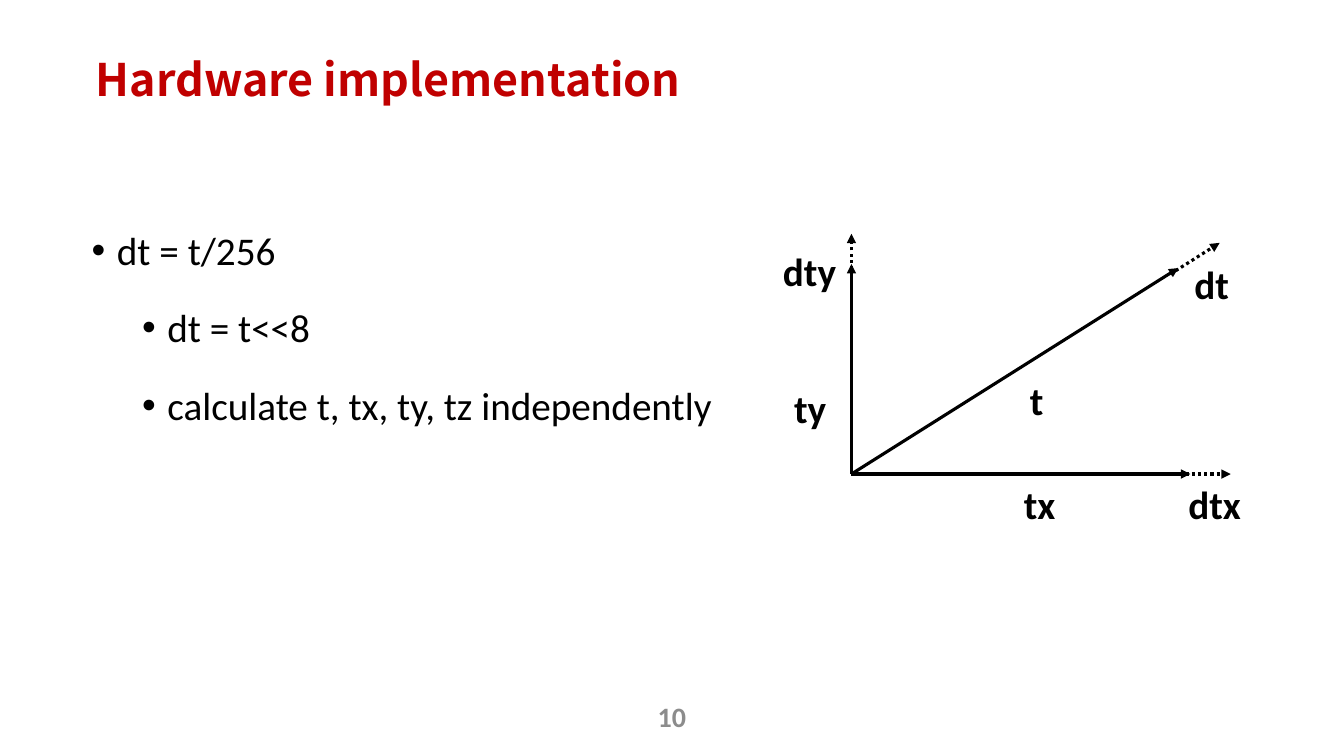
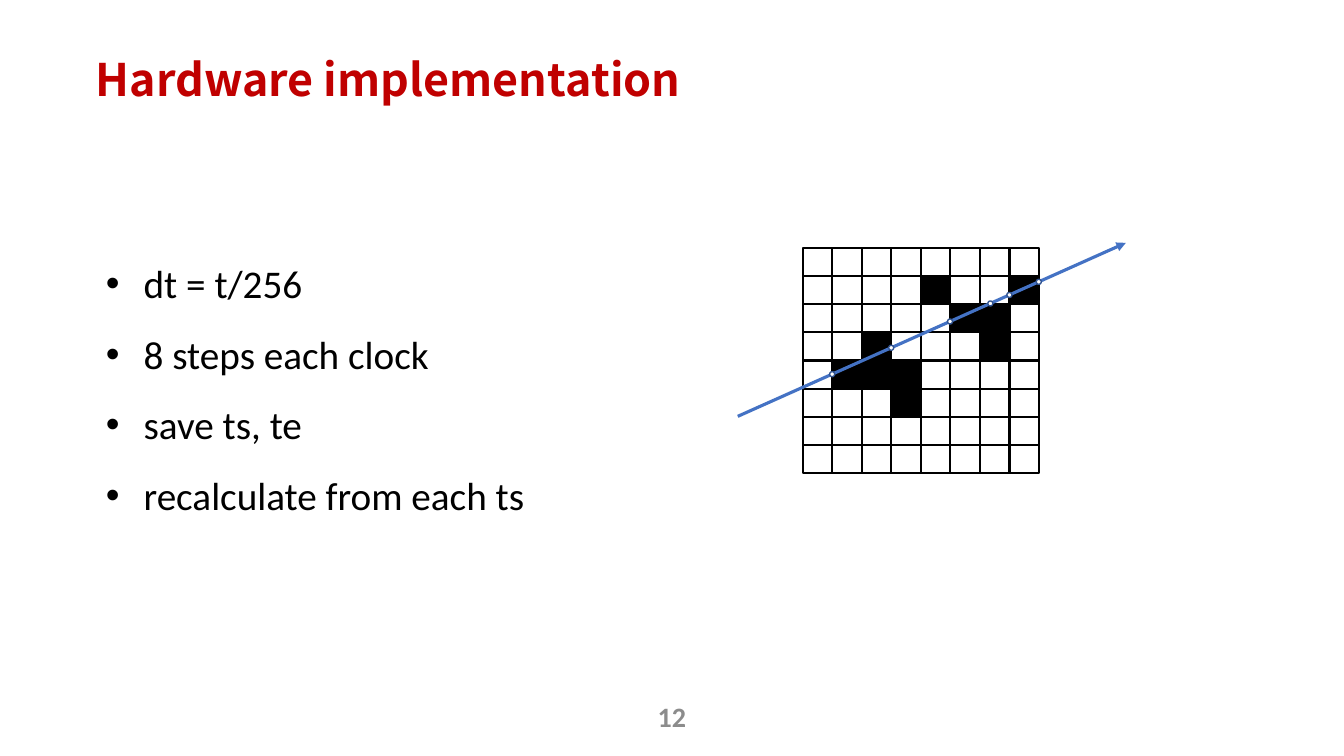
from dataclasses import dataclass

from lxml.etree import SubElement
from pptx import Presentation
from pptx.dml.color import RGBColor
from pptx.enum.dml import MSO_LINE
from pptx.enum.shapes import MSO_CONNECTOR, MSO_SHAPE
from pptx.enum.text import MSO_ANCHOR, MSO_AUTO_SIZE, PP_ALIGN
from pptx.oxml.ns import qn
from pptx.util import Pt


@dataclass(frozen=True)
class Theme:
    title_color: RGBColor = RGBColor(0xC0, 0x00, 0x00)
    ink: RGBColor = RGBColor(0x00, 0x00, 0x00)
    paper: RGBColor = RGBColor(0xFF, 0xFF, 0xFF)
    number_color: RGBColor = RGBColor(0x8C, 0x8C, 0x8C)
    ray: RGBColor = RGBColor(0x44, 0x72, 0xC4)
    hit_outline: RGBColor = RGBColor(0x32, 0x54, 0x91)
    title_font: str = "Noto Sans CJK SC"
    text_font: str = "Calibri"
    title_size: int = 32
    text_size: int = 28
    number_size: int = 20
    arrow_width: float = 2.25


theme = Theme()


def add_run(paragraph, text, size, color, bold=False, font=theme.text_font):
    run = paragraph.add_run()
    run.text = text
    run.font.name = font
    run.font.size = Pt(size)
    run.font.bold = bold
    run.font.color.rgb = color


def add_arrow(slide, start, end, color, dotted=False):
    points = [Pt(value) for value in (*start, *end)]
    connector = slide.shapes.add_connector(MSO_CONNECTOR.STRAIGHT, *points)
    connector.line.color.rgb = color
    connector.line.width = Pt(theme.arrow_width)
    if dotted:
        connector.line.dash_style = MSO_LINE.ROUND_DOT
    properties = connector._element.spPr
    SubElement(properties.find(qn("a:ln")), qn("a:tailEnd"), type="triangle")
    SubElement(properties, qn("a:effectLst"))


presentation = Presentation()
presentation.slide_width = Pt(960)
presentation.slide_height = Pt(540)
layout = presentation.slide_layouts[1]

pages = [
    {
        "number": "10",
        "body": (58.3, 141, 470, 343),
        "inset": (7.2, 3.6),
        "bullets": [
            ("dt = t/256", 0, 18, 18, 10),
            ("dt = t<<8", 1, 54, 18, 5),
            ("calculate t, tx, ty, tz independently", 1, 54, 18, 5),
        ],
    },
    {
        "number": "12",
        "body": (75.6, 168.5, 359.3, 300),
        "inset": (0, 0),
        "bullets": [
            (text, 0, 27, 27, 0)
            for text in ("dt = t/256", "8 steps each clock", "save ts, te", "recalculate from each ts")
        ],
    },
]

slides = []
for page in pages:
    slide = presentation.slides.add_slide(layout)
    slides.append(slide)

    title = slide.shapes.title
    title.left, title.top, title.width, title.height = Pt(61.2), Pt(37.4), Pt(730), Pt(58.3)
    title.text_frame.auto_size = MSO_AUTO_SIZE.NONE
    title.text_frame.vertical_anchor = MSO_ANCHOR.TOP
    paragraph = title.text_frame.paragraphs[0]
    paragraph.alignment = PP_ALIGN.LEFT
    paragraph.line_spacing = 0.9
    paragraph.space_before = Pt(10)
    add_run(paragraph, "Hardware implementation", theme.title_size, theme.title_color, True, theme.title_font)

    body = slide.placeholders[1]
    body.left, body.top, body.width, body.height = [Pt(value) for value in page["body"]]
    frame = body.text_frame
    frame.auto_size = MSO_AUTO_SIZE.NONE
    frame.margin_left = frame.margin_right = Pt(page["inset"][0])
    frame.margin_top = frame.margin_bottom = Pt(page["inset"][1])
    for index, (text, level, margin, hanging, before) in enumerate(page["bullets"]):
        paragraph = frame.add_paragraph() if index else frame.paragraphs[0]
        paragraph.level = level
        paragraph.line_spacing = 1.5
        paragraph.space_before = Pt(before)
        properties = paragraph._p.get_or_add_pPr()
        properties.set("marL", str(Pt(margin)))
        properties.set("indent", str(-Pt(hanging)))
        SubElement(properties, qn("a:buFont"), typeface="Arial")
        SubElement(properties, qn("a:buChar"), char="•")
        add_run(paragraph, text, theme.text_size, theme.ink)

    number = slide.shapes.add_textbox(Pt(372), Pt(497), Pt(216), Pt(28.8))
    number.text_frame.word_wrap = True
    number.text_frame.vertical_anchor = MSO_ANCHOR.MIDDLE
    paragraph = number.text_frame.paragraphs[0]
    paragraph.alignment = PP_ALIGN.CENTER
    add_run(paragraph, page["number"], theme.number_size, theme.number_color, True)

vector_slide, grid_slide = slides

origin_x, origin_y = 608.2, 338.6
vectors = [
    ((origin_x, origin_y), (841.7, 191.5), False),
    ((836, 195.8), (871.2, 173.5), True),
    ((origin_x, origin_y), (850.3, origin_y), False),
    ((origin_x, origin_y), (origin_x, 188.6), False),
    ((681, origin_y), (879.1, origin_y), True),
    ((origin_x, 210.2), (origin_x, 167), True),
]
for start, end, dotted in vectors:
    add_arrow(vector_slide, start, end, theme.ink, dotted)

labels = [
    ("tx", 724.3, 339.8, 45.4),
    ("dtx", 841.7, 339.8, 65.5),
    ("t", 728.6, 265, 23),
    ("dt", 846, 182.2, 60.5),
    ("ty", 560.2, 270.7, 47.5),
    ("dty", 552.2, 172.8, 56.2),
]
for text, left, top, width in labels:
    label = vector_slide.shapes.add_textbox(Pt(left), Pt(top), Pt(width), Pt(41))
    label.text_frame.word_wrap = True
    label.text_frame.auto_size = MSO_AUTO_SIZE.SHAPE_TO_FIT_TEXT
    add_run(label.text_frame.paragraphs[0], text, theme.text_size, theme.ink, True)

grid_left, grid_top = 573.4, 177.1
cell_width, cell_height = 21.1, 20.1
voxels = [
    "........",
    "....#..#",
    ".....##.",
    "..#...#.",
    ".###....",
    "...#....",
    "........",
    "........",
]
for row, line in enumerate(voxels):
    for column, mark in enumerate(line):
        cell = grid_slide.shapes.add_shape(
            MSO_SHAPE.RECTANGLE,
            Pt(grid_left + column * cell_width),
            Pt(grid_top + row * cell_height),
            Pt(cell_width),
            Pt(cell_height),
        )
        cell.shadow.inherit = False
        cell.line.color.rgb = theme.ink
        cell.line.width = Pt(1.5)
        if mark == "#":
            cell.fill.solid()
            cell.fill.fore_color.rgb = theme.ink
        else:
            cell.fill.background()

ray_start, ray_end = (527, 297.4), (804.2, 173.5)
add_arrow(grid_slide, ray_start, ray_end, theme.ray)
ray_slope = (ray_end[1] - ray_start[1]) / (ray_end[0] - ray_start[0])

hit_size = 3.6
for hit_x in (594.4, 636.6, 678.6, 707.4, 721, 742):
    hit_y = ray_start[1] + (hit_x - ray_start[0]) * ray_slope
    hit = grid_slide.shapes.add_shape(
        MSO_SHAPE.OVAL, Pt(hit_x - hit_size / 2), Pt(hit_y - hit_size / 2), Pt(hit_size), Pt(hit_size)
    )
    hit.shadow.inherit = False
    hit.fill.solid()
    hit.fill.fore_color.rgb = theme.paper
    hit.line.color.rgb = theme.hit_outline
    hit.line.width = Pt(1)

presentation.save("out.pptx")
